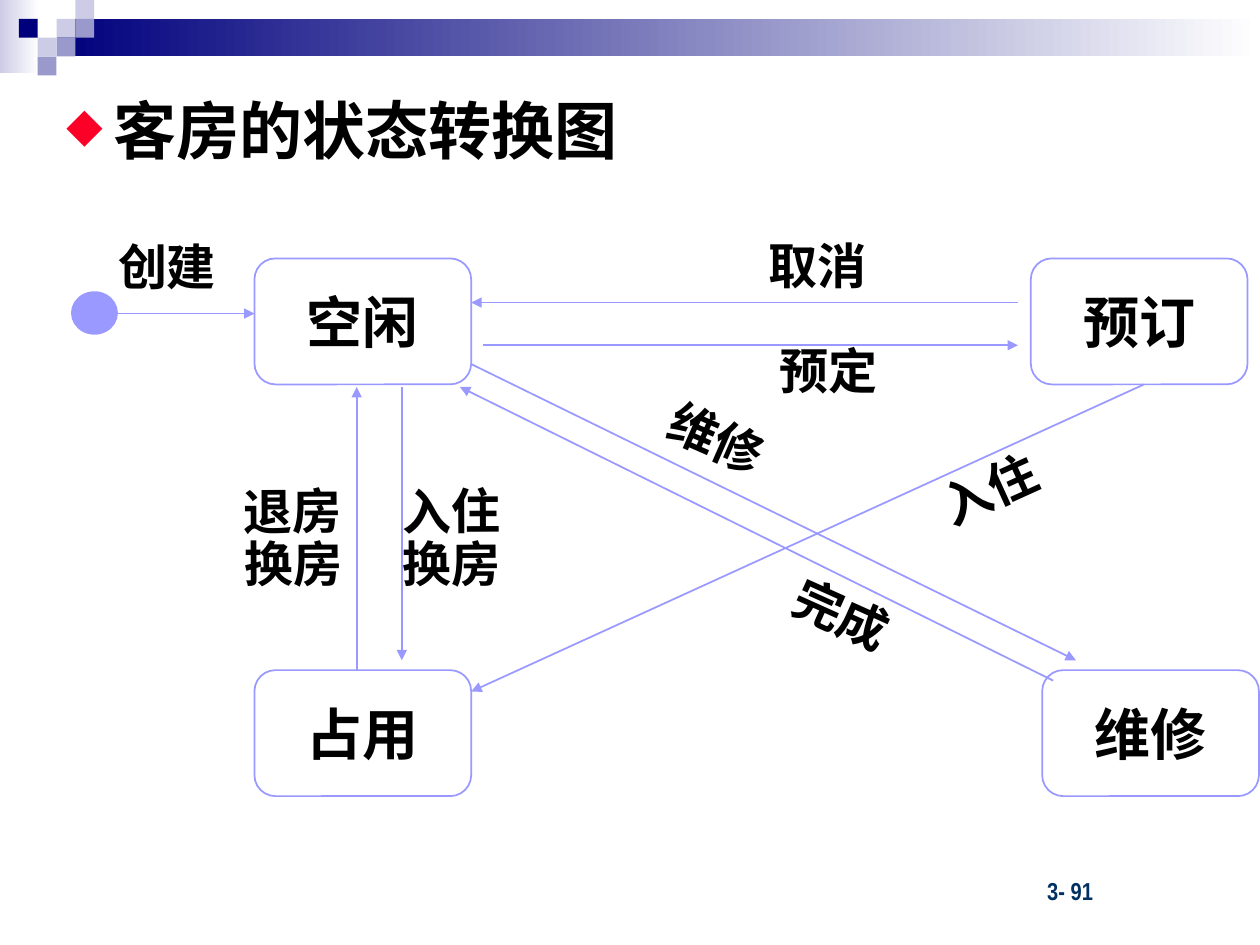
import pptx
import pptx.util
import pptx.dml.color
import pptx.enum.shapes
import pptx.enum.text
import pptx.oxml.ns
import lxml.etree

Cm = pptx.util.Cm
RGB = pptx.dml.color.RGBColor
KIND = pptx.enum.shapes.MSO_SHAPE
ALIGN = pptx.enum.text.PP_ALIGN
ANCHOR = pptx.enum.text.MSO_ANCHOR

BLACK = RGB(0x00, 0x00, 0x00)
WHITE = RGB(0xFF, 0xFF, 0xFF)
NAVY = RGB(0x00, 0x00, 0x7D)
MIST = RGB(0xCC, 0xCC, 0xE6)
SLATE = RGB(0x99, 0x99, 0xCC)
LILAC = RGB(0x99, 0x99, 0xFF)
RED = RGB(0xFC, 0x01, 0x28)
INK = RGB(0x00, 0x31, 0x62)

NODE_W, NODE_H = 4.37, 2.54
LEFT, RIGHT = 3.68, 19.33
TOP, LOW = 0.59, 8.89
EDGE = LEFT + NODE_W

NODES = [
    ("空闲", LEFT, TOP),
    ("预订", RIGHT, TOP),
    ("占用", LEFT, LOW),
    ("维修", 19.56, LOW),
]

# Start x, y and end x, y; the arrowhead is at the end.
ARROWS = [
    (0.91, 1.7, LEFT, 1.7),
    (19.07, 1.48, EDGE, 1.48),
    (8.28, 2.34, 19.07, 2.34),
    (21.61, 3.13, EDGE, 9.32),
    (EDGE, 2.72, 20.24, 8.69),
    (19.78, 9.1, 7.82, 3.18),
    (6.65, 3.18, 6.65, 8.69),
    (5.74, LOW, 5.74, 3.18),
]

# Text, x, y, width, rotation, line spacing.
LABELS = [
    ("创建", 0.68, 0.03, 3.23, 0, None),
    ("取消", 13.79, 0, 3.23, 0, None),
    ("预定", 14.02, 2.11, 3.23, 0, None),
    ("入住", 17.24, 4.45, 2.77, 335.6, None),
    ("维修", 11.73, 3.64, 3.23, 23.8, None),
    ("完成", 14.25, 7.19, 3.23, 24.2, None),
    ("退房\n换房", 3.22, 5.08, 3.23, 359.7, 0.9),
    ("入住\n换房", 6.42, 5.08, 3.23, 359.7, 0.9),
]


def add_xml(parent, tag, **attrs):
    node = lxml.etree.SubElement(parent, pptx.oxml.ns.qn(tag))
    for name, value in attrs.items():
        node.set(name, str(value))
    return node


def add_mark(para, char, color, size, indent):
    """Give a paragraph a bullet with a hanging indent."""
    props = para._p.get_or_add_pPr()
    props.set("marL", str(indent))
    props.set("indent", str(-indent))
    add_xml(add_xml(props, "a:buClr"), "a:srgbClr", val=color)
    add_xml(props, "a:buSzPct", val=size * 1000)
    add_xml(props, "a:buChar", char=char)


def put_text(frame, text, size=28, face="Times New Roman", color=BLACK,
             align=ALIGN.LEFT, anchor=ANCHOR.TOP, wrap=True, space=None):
    frame.word_wrap = wrap
    frame.vertical_anchor = anchor
    for i, line in enumerate(text.split("\n")):
        para = frame.add_paragraph() if i else frame.paragraphs[0]
        para.alignment = align
        para.line_spacing = space
        run = para.add_run()
        run.text = line
        run.font.size = pptx.util.Pt(size)
        run.font.name = face
        run.font.bold = True
        run.font.color.rgb = color


def add_box(slide, x, y, w, h):
    return slide.shapes.add_textbox(Cm(x), Cm(y), Cm(w), Cm(h))


def add_form(slide, kind, x, y, w, h, fill=None, line=None, fade=False):
    form = slide.shapes.add_shape(kind, Cm(x), Cm(y), Cm(w), Cm(h))
    form.shadow.inherit = False
    if fade:
        form.fill.gradient()
        form.fill.gradient_angle = 0
        for stop, color in zip(form.fill.gradient_stops, (fill, WHITE)):
            stop.color.rgb = color
    elif fill is not None:
        form.fill.solid()
        form.fill.fore_color.rgb = fill
    else:
        form.fill.background()
    if line is None:
        form.line.fill.background()
    else:
        form.line.color.rgb = line
        form.line.width = pptx.util.Pt(1)
    return form


def add_arrow(slide, x1, y1, x2, y2):
    straight = pptx.enum.shapes.MSO_CONNECTOR.STRAIGHT
    arrow = slide.shapes.add_connector(straight, Cm(x1), Cm(y1), Cm(x2), Cm(y2))
    arrow.line.color.rgb = LILAC
    arrow.line.width = pptx.util.Pt(1)
    add_xml(arrow.line._get_or_add_ln(), "a:tailEnd", type="triangle")
    add_xml(arrow._element.spPr, "a:effectLst")


def add_band(slide, x, y, w):
    """Draw the fading bar and its mosaic of squares."""
    step = 0.38
    add_form(slide, KIND.RECTANGLE, x, y, 0.79, 1.47, MIST, fade=True)
    add_form(slide, KIND.RECTANGLE, x + 3 * step, y + step,
             w - 3 * step, 0.75, NAVY, fade=True)
    tiles = [(3, 1, MIST), (4, 0, MIST), (4, 1, SLATE), (2, 2, MIST),
             (1, 1, NAVY), (3, 2, SLATE), (2, 3, SLATE)]
    for col, row, color in tiles:
        add_form(slide, KIND.RECTANGLE, x + col * step, y + row * step,
                 step, step, color)


def add_title(slide, x, y, w, h):
    frame = add_box(slide, x, y, w, h).text_frame
    add_mark(frame.paragraphs[0], "◆", RED, 75, Cm(0.95))
    put_text(frame, "客房的状态转换图", size=36, face="Arial")


def add_states(slide, x, y):
    """Draw the state diagram with its top left corner at x, y."""
    for text, dx, dy in NODES:
        node = add_form(slide, KIND.ROUNDED_RECTANGLE, x + dx, y + dy,
                        NODE_W, NODE_H, line=LILAC)
        put_text(node.text_frame, text, size=32, align=ALIGN.CENTER,
                 anchor=ANCHOR.MIDDLE, wrap=False)
    add_form(slide, KIND.OVAL, x, y + 1.27, 0.91, 0.84, LILAC, LILAC)
    for x1, y1, x2, y2 in ARROWS:
        add_arrow(slide, x + x1, y + y1, x + x2, y + y2)
    for text, dx, dy, w, turn, space in LABELS:
        label = add_box(slide, x + dx, y + dy, w, 2.39 if "\n" in text else 1.45)
        label.rotation = turn
        put_text(label.text_frame, text, space=space)


def add_number(slide, x, y, w, h):
    frame = add_box(slide, x, y, w, h).text_frame
    frame.margin_left = Cm(2.62)
    put_text(frame, "3- 91", size=14, face="Arial Narrow", color=INK)


def main():
    deck = pptx.Presentation()
    deck.slide_width, deck.slide_height = Cm(25.4), Cm(19.05)
    slide = deck.slides.add_slide(deck.slide_layouts[6])
    add_band(slide, 0, 0, 25.4)
    add_number(slide, 18.49, 17.53, 5.28, 0.84)
    add_states(slide, 1.45, 4.62)
    add_title(slide, 1.09, 1.73, 12.01, 1.91)
    deck.save("out.pptx")


if __name__ == "__main__":
    main()
